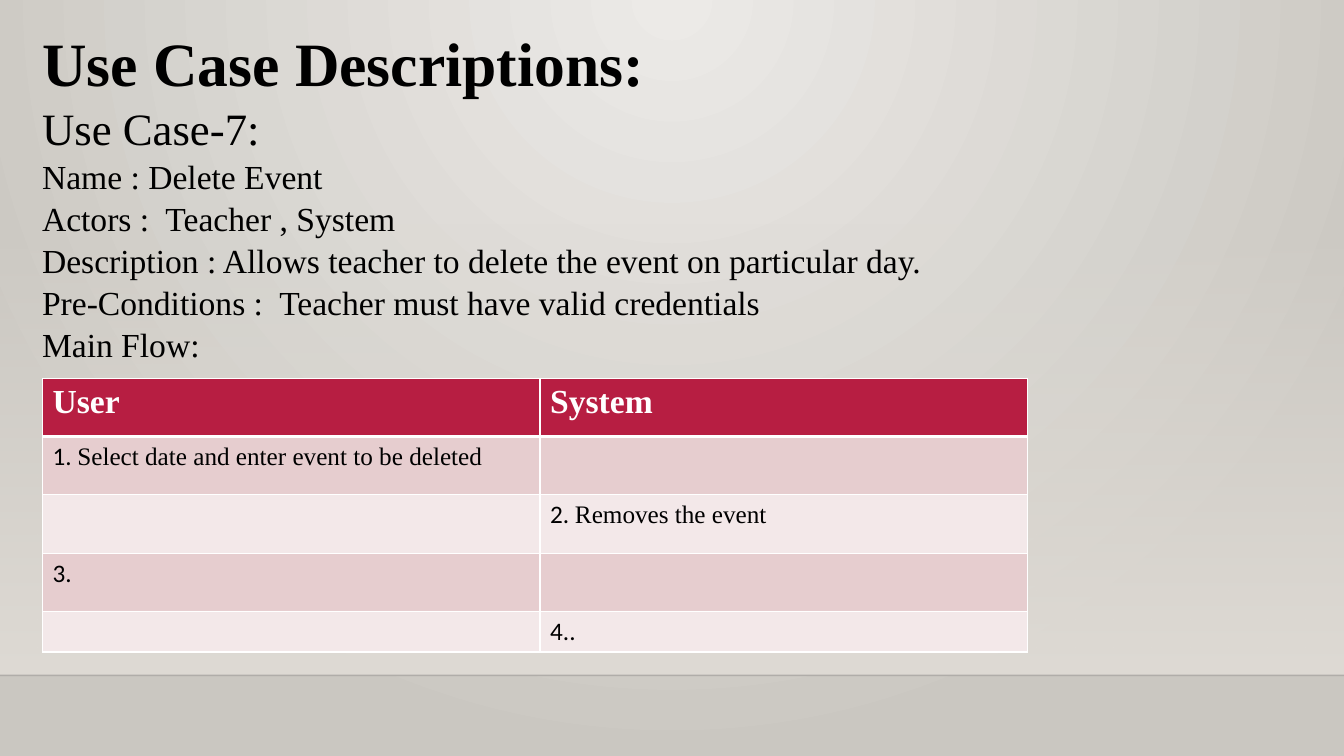
"""Build the use case slide with its text and main flow table."""
from dataclasses import dataclass

import lxml.etree
import pptx
import pptx.dml.color
import pptx.dml.fill
import pptx.enum.shapes
import pptx.oxml.ns
import pptx.shapes.autoshape
import pptx.slide
import pptx.table
import pptx.text.text
import pptx.util

Cm = pptx.util.Cm
Pt = pptx.util.Pt
qn = pptx.oxml.ns.qn

WIDE, HIGH, FLOOR = Cm(33.87), Cm(19.05), Cm(17.02)
SERIF, SANS = "Times New Roman", "Calibri"
HUES = {
    "glow": "ECEAE7", "edge": "CAC7C1", "haze": "DFDBD5", "rule": "000001",
    "ink": "000000", "white": "FFFFFF", "head": "B71E42",
    "odd": "E6CDCF", "even": "F3E8E9",
}


@dataclass
class Bit:
    text: str
    size: float = 18
    font: str = SERIF
    bold: bool = False
    hue: str = "ink"


LINES = [
    Bit("Use Case Descriptions:", 44, bold=True),
    Bit("Use Case-7:", 32),
    Bit("Name : Delete Event", 24),
    Bit("Actors :  Teacher , System", 24),
    Bit("Description : Allows teacher to delete the event on particular day.", 24),
    Bit("Pre-Conditions :  Teacher must have valid credentials", 24),
    Bit("Main Flow:", 24),
]
ROWS = [
    [[Bit(name, 24, bold=True, hue="white")] for name in ("User", "System")],
    [[Bit("1. ", font=SANS), Bit("Select date and enter event to be deleted")], []],
    [[], [Bit("2. ", font=SANS), Bit("Removes the event")]],
    [[Bit("3.", font=SANS)], []],
    [[], [Bit("4..", font=SANS)]],
]


def tint(name: str) -> pptx.dml.color.RGBColor:
    return pptx.dml.color.RGBColor.from_string(HUES[name])


def blend(fill: pptx.dml.fill.FillFormat, start: str, end: str) -> None:
    fill.gradient()
    fill.gradient_angle = 270
    for stop, name, place in zip(fill.gradient_stops, (start, end), (0, 1)):
        stop.color.rgb = tint(name)
        stop.position = place


def fade(shape: pptx.shapes.base.BaseShape, share: int) -> None:
    hue = next(shape.element.spPr.iter(qn("a:srgbClr")))
    lxml.etree.SubElement(hue, qn("a:alpha"), val=str(share * 1000))


def write(para: pptx.text.text._Paragraph, bit: Bit) -> None:
    run = para.add_run()
    run.text = bit.text
    run.font.size = Pt(bit.size)
    run.font.name = bit.font
    run.font.bold = bit.bold
    run.font.color.rgb = tint(bit.hue)


def paint(slide: pptx.slide.Slide) -> None:
    blend(slide.background.fill, "glow", "edge")
    grad = next(slide.element.iter(qn("a:gradFill")))
    grad.remove(grad.find(qn("a:lin")))
    ring = lxml.etree.SubElement(grad, qn("a:path"), path="circle")
    lxml.etree.SubElement(ring, qn("a:fillToRect"),
                          l="43000", t="0", r="43000", b="100000")

    kind = pptx.enum.shapes.MSO_SHAPE.RECTANGLE
    haze = slide.shapes.add_shape(kind, 0, Cm(5.61), WIDE, FLOOR - Cm(5.61))
    haze.shadow.inherit = False
    haze.line.fill.background()
    blend(haze.fill, "haze", "haze")
    fade(haze, 0)

    kind = pptx.enum.shapes.MSO_CONNECTOR.STRAIGHT
    rule = slide.shapes.add_connector(kind, 0, FLOOR, WIDE, FLOOR)
    rule.line.width = Pt(1)
    rule.line.color.rgb = tint("rule")
    fade(rule, 20)
    lxml.etree.SubElement(rule.element.spPr, qn("a:effectLst"))


def tell(slide: pptx.slide.Slide) -> None:
    box = slide.shapes.add_textbox(Cm(0.81), Cm(0.42), Cm(33.05), Cm(8.6))
    frame = box.text_frame
    frame.word_wrap = True
    for spot, bit in enumerate(LINES):
        para = frame.add_paragraph() if spot else frame.paragraphs[0]
        para.line_spacing = 1.04
        write(para, bit)


def edge(cell: pptx.table._Cell, top: float, base: float) -> None:
    props = cell._tc.get_or_add_tcPr()
    for spot, (side, width) in enumerate(
            {"L": 1, "R": 1, "T": top, "B": base}.items()):
        line = lxml.etree.Element(qn(f"a:ln{side}"), w=str(Pt(width)))
        fill = lxml.etree.SubElement(line, qn("a:solidFill"))
        lxml.etree.SubElement(fill, qn("a:srgbClr"), val=HUES["white"])
        props.insert(spot, line)


def chart_flow(slide: pptx.slide.Slide) -> None:
    cols = [Cm(12.54), Cm(12.28)]
    highs = [Cm(1.47)] * 4 + [Cm(1.02)]
    grid = slide.shapes.add_table(len(ROWS), len(cols), Cm(1.07), Cm(9.53),
                                  sum(cols), sum(highs)).table
    for col, width in zip(grid.columns, cols):
        col.width = width
    for y, (row, high) in enumerate(zip(ROWS, highs)):
        grid.rows[y].height = high
        for x, bits in enumerate(row):
            cell = grid.cell(y, x)
            cell.fill.solid()
            name = "head" if y == 0 else "odd" if y % 2 else "even"
            cell.fill.fore_color.rgb = tint(name)
            edge(cell, 3 if y == 1 else 1, 3 if y == 0 else 1)
            for bit in bits:
                write(cell.text_frame.paragraphs[0], bit)


def main() -> None:
    deck = pptx.Presentation()
    deck.slide_width, deck.slide_height = WIDE, HIGH
    slide = deck.slides.add_slide(deck.slide_layouts[6])
    paint(slide)
    tell(slide)
    chart_flow(slide)
    deck.save("out.pptx")


if __name__ == "__main__":
    main()
